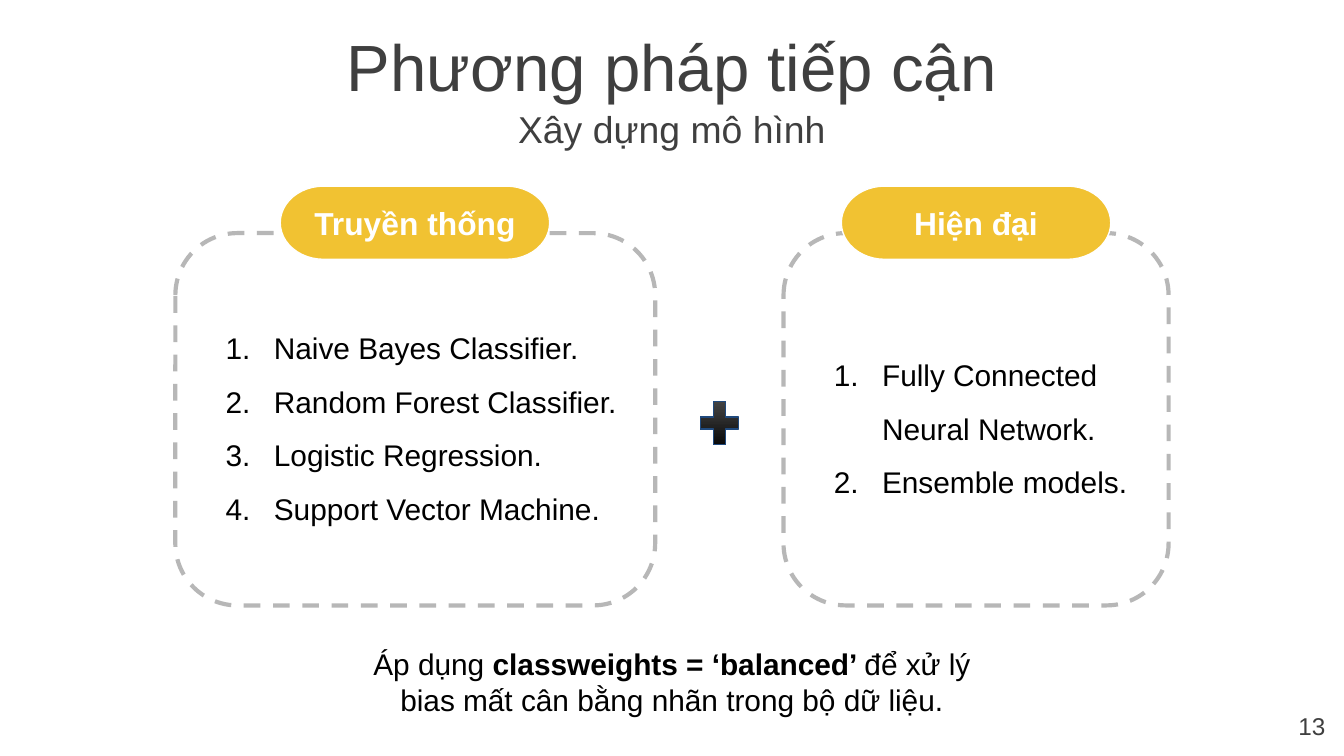
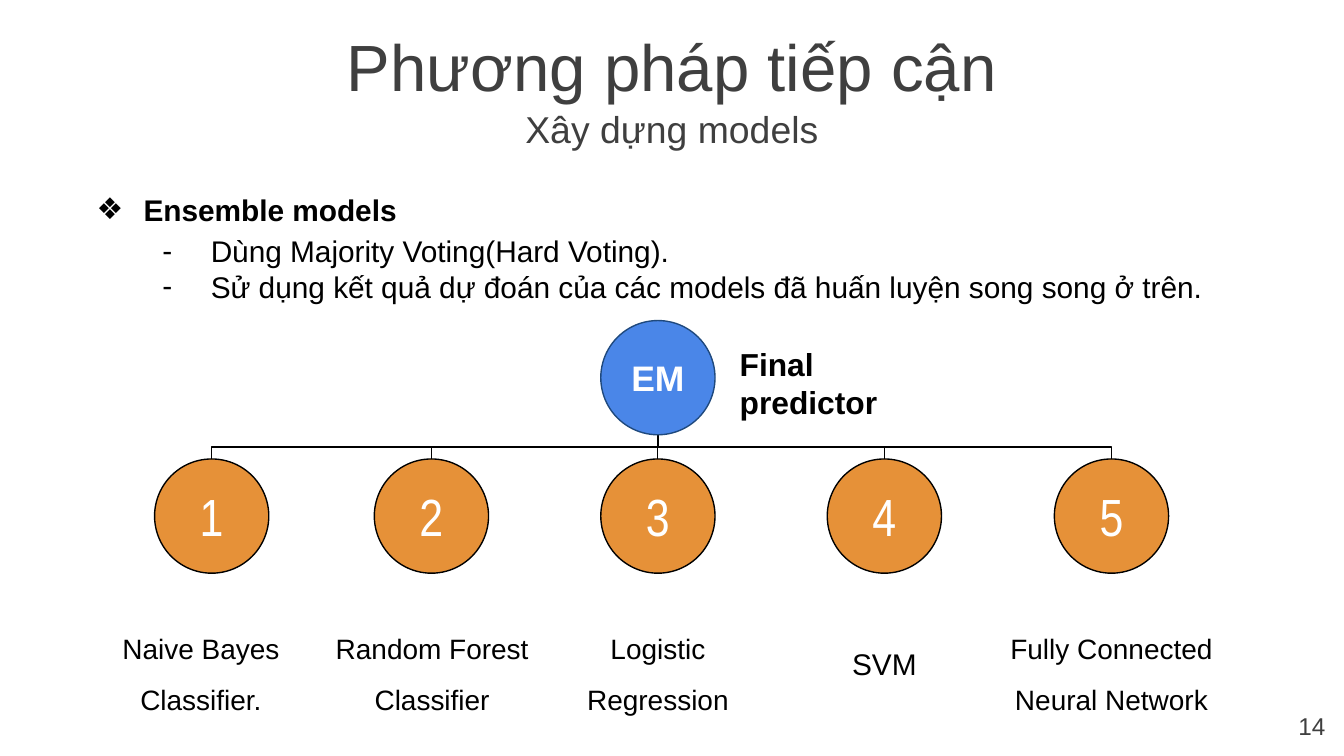
from lxml import etree
from pptx import Presentation
from pptx import util as u
from pptx.dml.color import RGBColor
from pptx.enum import dml, shapes, text
from pptx.oxml.ns import qn

PX = 4572
INK = RGBColor(0x3F, 0x3F, 0x3F)
BLACK = RGBColor(0, 0, 0)
CHARCOAL = RGBColor(0x4D, 0x4D, 0x4D)
WHITE = RGBColor(0xFF, 0xFF, 0xFF)
GREY = RGBColor(0xB7, 0xB7, 0xB7)
YELLOW = RGBColor(0xF1, 0xC2, 0x32)
ORANGE = RGBColor(0xE6, 0x91, 0x38)
BLUE = RGBColor(0x4A, 0x86, 0xE8)
NAVY = RGBColor(0x1F, 0x49, 0x7D)
LEFT, CENTER, RIGHT = text.PP_ALIGN.LEFT, text.PP_ALIGN.CENTER, text.PP_ALIGN.RIGHT
TOP, MIDDLE = text.MSO_ANCHOR.TOP, text.MSO_ANCHOR.MIDDLE
KIND = shapes.MSO_SHAPE


def write(holder, paragraphs, size, color=BLACK, align=CENTER, anchor=TOP,
          bold=False, font="Arial", spacing=None, inset=20):
    frame = holder.text_frame
    frame_format = {"word_wrap": True, "auto_size": text.MSO_AUTO_SIZE.NONE,
                    "vertical_anchor": anchor, "margin_left": 20 * PX, "margin_right": 20 * PX,
                    "margin_top": inset * PX, "margin_bottom": inset * PX}
    for key, value in frame_format.items():
        setattr(frame, key, value)
    for number, (content, bullet) in enumerate(paragraphs):
        paragraph = frame.add_paragraph() if number else frame.paragraphs[0]
        paragraph.alignment = align
        paragraph.line_spacing = bullet["spacing"] if bullet else spacing
        for words, strong in content if isinstance(content, list) else [(content, bold)]:
            run = paragraph.add_run()
            run.text = words
            for key, value in {"name": font, "size": u.Pt(size), "bold": strong}.items():
                setattr(run.font, key, value)
            run.font.color.rgb = color
        if bullet:
            properties = paragraph._p.get_or_add_pPr()
            properties.set("marL", str(bullet["margin"] * PX))
            properties.set("indent", str(-bullet["hang"] * PX))
            tint = etree.SubElement(properties, qn("a:buClr"))
            etree.SubElement(tint, qn("a:srgbClr")).set("val", str(BLACK))
            etree.SubElement(properties, qn("a:buSzPts")).set("val", str(size * 100))
            etree.SubElement(properties, qn("a:buFont")).set("typeface", font)
            tag, key, value = bullet["mark"]
            etree.SubElement(properties, qn(tag)).set(key, value)


def draw(slide, kind, box, fill=None, line=BLACK, width=0.75):
    shape = slide.shapes.add_shape(kind, *(v * PX for v in box))
    shape.shadow.inherit = False
    if fill is None:
        shape.fill.background()
    else:
        shape.fill.solid()
        shape.fill.fore_color.rgb = fill
    shape.line.color.rgb = line
    shape.line.width = u.Pt(width)
    return shape


deck = Presentation()
deck.slide_width, deck.slide_height = 2000 * PX, 1125 * PX

slides = []
for page, subtitle in (("13", "Xây dựng mô hình"), ("14", "Xây dựng models")):
    slide = deck.slides.add_slide(deck.slide_layouts[5])
    heading = slide.shapes.title
    for key, value in {"left": 0, "top": 34, "width": 2000, "height": 126}.items():
        setattr(heading, key, value * PX)
    write(heading, [("Phương pháp tiếp cận", None)], 35, INK, anchor=MIDDLE, inset=10)
    subheading = slide.shapes.add_textbox(0, 160 * PX, 2000 * PX, 62 * PX)
    write(subheading, [(subtitle, None)], 20, INK, anchor=MIDDLE, inset=10)
    page_number = slide.shapes.add_textbox(1872 * PX, 1039 * PX, 120 * PX, 86 * PX)
    write(page_number, [(page, None)], 13, INK, RIGHT)
    slides.append(slide)
approach, ensemble = slides

numbered = {"margin": 100, "hang": 72, "spacing": 1.5,
            "mark": ("a:buAutoNum", "type", "arabicPeriod")}
families = [
    ("Truyền thống", 261, 714, 417, ["Naive Bayes Classifier.", "Random Forest Classifier.",
                                     "Logistic Regression.", "Support Vector Machine."]),
    ("Hiện đại", 1166, 573, 1252, ["Fully Connected Neural Network.", "Ensemble models."]),
]
for family, left, width, tab_left, models in families:
    panel = draw(approach, KIND.ROUNDED_RECTANGLE, (left, 347, width, 554), line=GREY, width=2.25)
    panel.line.dash_style = dml.MSO_LINE.DASH
    write(panel, [(model, numbered) for model in models], 16, align=LEFT, anchor=MIDDLE)
    tab = draw(approach, KIND.FLOWCHART_TERMINATOR, (tab_left, 277, 401, 109), YELLOW, WHITE)
    write(tab, [(family, None)], 17, WHITE, anchor=MIDDLE, bold=True)

plus = draw(approach, KIND.MATH_PLUS, (1032, 586, 77, 87), line=NAVY)
plus.adjustments[0] = 0.235
plus.fill.gradient()
plus.fill.gradient_angle = 270
for stop, color in zip(plus.fill.gradient_stops, (CHARCOAL, BLACK)):
    stop.color.rgb = color

remark = approach.shapes.add_textbox(490 * PX, 941 * PX, 1020 * PX, 126 * PX)
write(remark, [([("Áp dụng ", False), ("classweights = ‘balanced’ ", True), ("để xử lý", False)], None),
               ("bias mất cân bằng nhãn trong bộ dữ liệu.", None)], 16)

diamond = {"margin": 200, "hang": 70, "spacing": 1.5, "mark": ("a:buChar", "char", "❖")}
dash = {"margin": 300, "hang": 72, "spacing": 1.15, "mark": ("a:buChar", "char", "-")}
summary = ensemble.shapes.add_textbox(-6 * PX, 239 * PX, 2006 * PX, 240 * PX)
write(summary, [
    ([("Ensemble models", True)], diamond),
    ("Dùng Majority Voting(Hard Voting).", dash),
    ("Sử dụng kết quả dự đoán của các models đã huấn luyện song song ở trên.",
     {**dash, "spacing": 1.0}),
], 16, align=LEFT)

BALL = 170
ROOT_X, ROOT_TOP, BALL_TOP = 979, 477, 683
ROOT_BOTTOM = ROOT_TOP + BALL
DROP = BALL_TOP - ROOT_BOTTOM
predictors = [
    ("Naive Bayes Classifier.", 315, 158, 282, 15, TOP),
    ("Random Forest Classifier", 642, 474, 338, 15, TOP),
    ("Logistic Regression", 979, 838, 282, 15, TOP),
    ("SVM", 1316, 1175, 282, 16, MIDDLE),
    ("Fully Connected Neural Network", 1654, 1464, 380, 15, TOP),
]
for rank, (model, ball_x, label_left, label_width, size, anchor) in enumerate(predictors, 1):
    ball = draw(ensemble, KIND.OVAL, (ball_x - BALL // 2, BALL_TOP, BALL, BALL), ORANGE)
    write(ball, [(str(rank), None)], 28, WHITE, anchor=MIDDLE, font="Arial Narrow")
    label = ensemble.shapes.add_textbox(label_left * PX, 895 * PX, label_width * PX, 158 * PX)
    write(label, [(model, None)], size, anchor=anchor, spacing=1.5)

    span = abs(ball_x - ROOT_X)
    branch = ensemble.shapes.add_connector(shapes.MSO_CONNECTOR.ELBOW, 0, 0, 0, 0)
    placement = {"left": (ROOT_X + ball_x - DROP) * PX // 2,
                 "top": (ROOT_BOTTOM + BALL_TOP - span) * PX // 2,
                 "width": DROP * PX, "height": span * PX}
    for key, value in placement.items():
        setattr(branch, key, value)
    turn = branch._element.spPr.find(qn("a:xfrm"))
    turn.set("rot", str((90 if ball_x < ROOT_X else 270) * 60000))
    if ball_x >= ROOT_X:
        turn.set("flipH", "1")
    branch.line.color.rgb = BLACK
    branch.line.width = u.Pt(0.75)
    etree.SubElement(branch._element.spPr, qn("a:effectLst"))

root = draw(ensemble, KIND.OVAL, (ROOT_X - BALL // 2, ROOT_TOP, BALL, BALL), BLUE, NAVY)
write(root, [("EM", None)], 19, WHITE, anchor=MIDDLE, bold=True)
caption = ensemble.shapes.add_textbox(1081 * PX, 493 * PX, 252 * PX, 144 * PX)
write(caption, [("Final", None), ("predictor", None)], 17, align=LEFT, bold=True)

deck.save("out.pptx")
